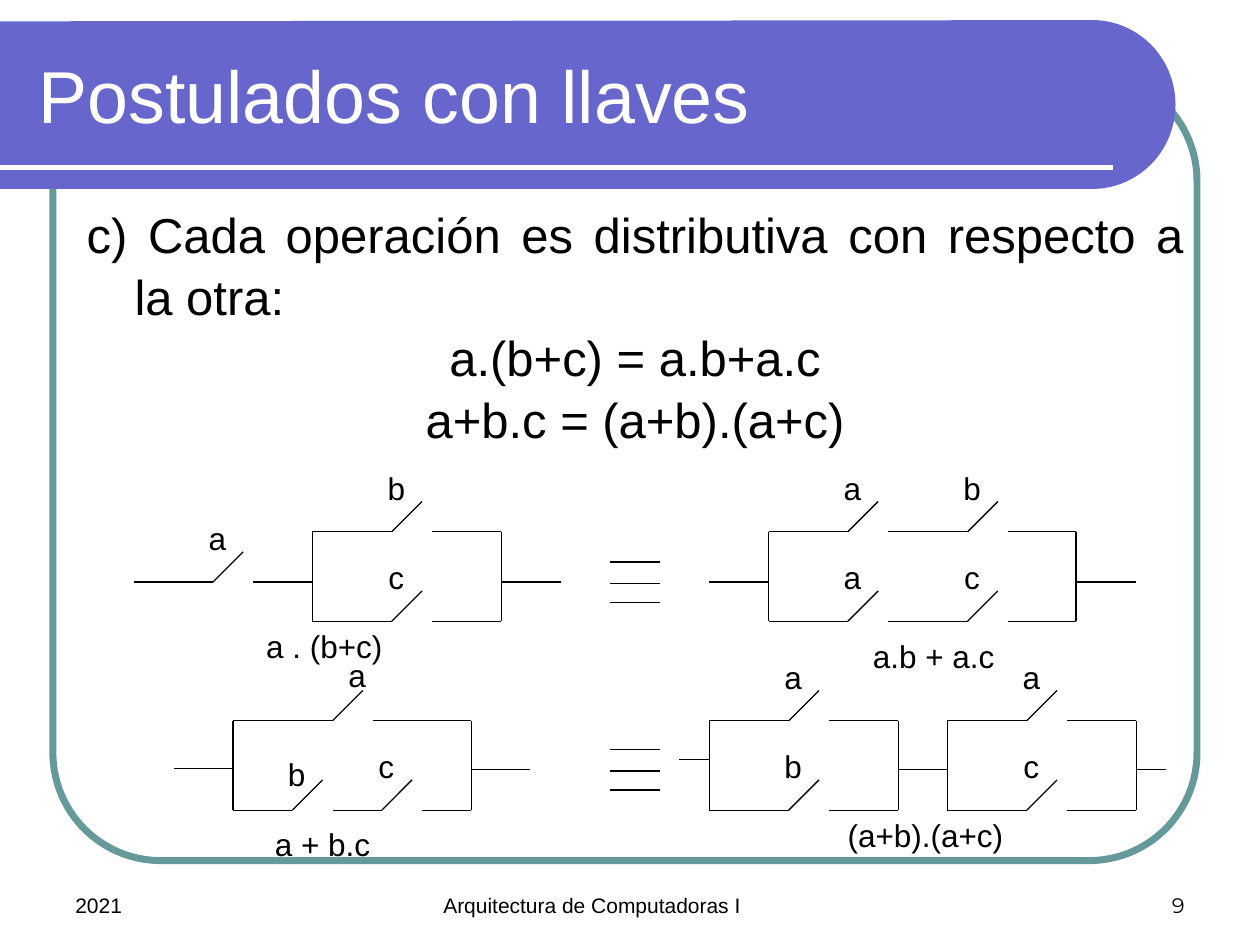
import math

import pptx
import pptx.dml.color
import pptx.enum.shapes
import pptx.enum.text
import pptx.oxml
import pptx.util
from pptx.util import Inches

ALIGN = pptx.enum.text.PP_ALIGN
ANCHOR = pptx.enum.text.MSO_ANCHOR


def color(value):
    return pptx.dml.color.RGBColor.from_string(value)


prs = pptx.Presentation()
prs.slide_width, prs.slide_height = Inches(10), Inches(7.5)
slide = prs.slides.add_slide(prs.slide_layouts[6])
shapes = slide.shapes

# Frame and title banner with a round right end
frame = shapes.add_shape(pptx.enum.shapes.MSO_SHAPE.ROUNDED_RECTANGLE,
                         Inches(0.42), Inches(0.58), Inches(9.08), Inches(6.25))
frame.adjustments[0] = 0.137
frame.shadow.inherit = False
frame.fill.background()
frame.line.color.rgb = color("669999")
frame.line.width = pptx.util.Pt(4)

arc = [(8.67 + 0.66 * math.cos(math.radians(angle)), 0.83 + 0.67 * math.sin(math.radians(angle)))
       for angle in range(-90, 91, 3)]
outline = shapes.build_freeform(0, Inches(0.17))
outline.add_line_segments([(Inches(x), Inches(y)) for x, y in arc + [(0, 1.5)]], close=True)
banner = outline.convert_to_shape()
banner.shadow.inherit = False
banner.fill.solid()
banner.fill.fore_color.rgb = color("6666CC")
banner.line.fill.background()


def add_line(x1, y1, x2, y2, hue="000000", width=0.75):
    line = shapes.add_connector(pptx.enum.shapes.MSO_CONNECTOR.STRAIGHT,
                                Inches(x1), Inches(y1), Inches(x2), Inches(y2))
    line.line.color.rgb = color(hue)
    line.line.width = pptx.util.Pt(width)
    effects = pptx.oxml.parse_xml(
        '<a:effectLst xmlns:a="http://schemas.openxmlformats.org/drawingml/2006/main"/>')
    line._element.spPr.append(effects)


def add_text(x, y, w, h, lines, size=18, align=ALIGN.CENTER, anchor=ANCHOR.TOP,
             font="Arial", hue="000000", wrap=True):
    frame = shapes.add_textbox(Inches(x), Inches(y), Inches(w), Inches(h)).text_frame
    frame.word_wrap = wrap
    frame.vertical_anchor = anchor
    frame.text = "\n".join(lines)
    for paragraph in frame.paragraphs:
        paragraph.alignment = align
        paragraph.font.size = pptx.util.Pt(size)
        paragraph.font.name = font
        paragraph.font.color.rgb = color(hue)
    return frame


add_line(0, 1.33, 8.83, 1.33, "FFFFFF", 3)
add_text(0.21, 0.25, 6.83, 1, ["Postulados con llaves"], 42, ALIGN.LEFT, ANCHOR.MIDDLE, hue="FFFFFF")

for x, w, text, align, font in [
    (7.17, 2.33, "9", ALIGN.RIGHT, "Montserrat"),
    (3.42, 3.17, "Arquitectura de Computadoras I", ALIGN.LEFT, "Arial"),
    (0.5, 2.33, "2021", ALIGN.LEFT, "Arial"),
]:
    add_text(x, 6.83, w, 0.5, [text], 12, align, ANCHOR.BOTTOM, font)

postulate = add_text(0.59, 1.55, 8.9, 1.99, [
    "c) Cada operación es distributiva con respecto a la otra:",
    "a.(b+c) = a.b+a.c",
    "a+b.c = (a+b).(a+c)",
], 28)
postulate.paragraphs[0].alignment = ALIGN.JUSTIFY
for paragraph in postulate.paragraphs:
    paragraph.line_spacing = 1.05
    properties = paragraph._p.get_or_add_pPr()
    properties.set("marL", str(Inches(0.38)))
    properties.set("indent", str(-Inches(0.38)))

# Wires: y, start, end, switches as (label, hinge x, label shift x, label shift y)
wires = [
    (4.62, 1.06, 2.48, [("a", 1.69, 0, 0)]),
    (4.22, 2.48, 3.98, [("b", 3.11, 0, 0)]),
    (4.93, 2.48, 3.98, [("c", 3.11, 0, 0)]),
    (4.22, 6.1, 8.54, [("a", 6.73, 0, 0), ("b", 7.68, 0, 0)]),
    (4.93, 6.1, 8.54, [("a", 6.73, 0, 0), ("c", 7.68, 0, 0)]),
    (5.72, 1.85, 3.74, [("a", 2.64, 0.16, -0.01)]),
    (6.43, 1.85, 3.74, [("b", 2.32, 0, 0.06), ("c", 3.03, 0, 0)]),
    (5.72, 5.63, 7.13, [("a", 6.26, 0, 0)]),
    (6.43, 5.63, 7.13, [("b", 6.26, 0, 0)]),
    (5.72, 7.52, 9.02, [("a", 8.15, 0, 0)]),
    (6.43, 7.52, 9.02, [("c", 8.15, 0, 0)]),
]
for y, start, end, switches in wires:
    for label, hinge, dx, dy in switches:
        add_line(start, y, hinge, y)
        add_line(hinge, y, hinge + 0.24, y - 0.24)
        add_text(hinge - 0.24 + dx, y - 0.55 + dy, 0.55, 0.4, [label])
        start = hinge + 0.32
    add_line(start, y, end, y)

# Vertical ends of the parallel branches
for top, sides in [(4.22, (2.48, 3.98, 6.1, 8.54)), (5.72, (1.85, 3.74, 5.63, 7.13, 7.52, 9.02))]:
    for x in sides:
        add_line(x, top, x, top + 0.71)

# Leads in and out of the branches
for start, end, y in [
    (3.98, 4.45, 4.62), (5.63, 6.1, 4.62), (8.54, 9.02, 4.62),
    (1.38, 1.85, 6.1), (3.74, 4.21, 6.11),
    (5.39, 5.63, 6.03), (7.13, 7.52, 6.11), (9.02, 9.25, 6.11),
]:
    add_line(start, y, end, y)

# Equivalence signs
for top in (4.46, 5.95):
    for offset in (0, 0.17, 0.32):
        add_line(4.84, top + offset, 5.24, top + offset)

for x, y, w, formula in [
    (2.01, 4.93, 1.13, "a . (b+c)"),
    (6.81, 5.01, 1.2, "a.b + a.c"),
    (2.07, 6.5, 0.98, "a + b.c"),
    (6.62, 6.43, 1.45, "(a+b).(a+c)"),
]:
    add_text(x, y, w, 0.4, [formula], wrap=False)

prs.save("out.pptx")
